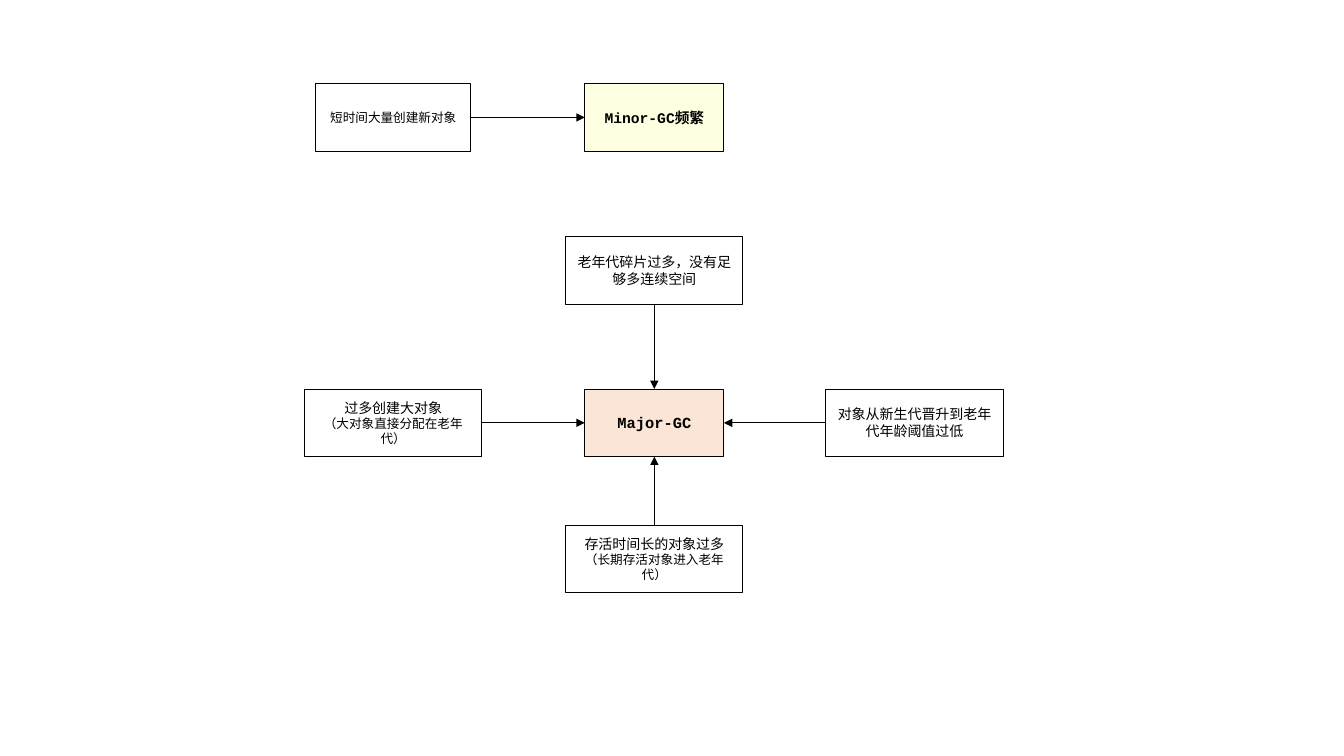
from dataclasses import dataclass
from typing import NamedTuple

from lxml import etree
from pptx import Presentation
from pptx import util as u
from pptx.dml import color
from pptx.enum import shapes, text
from pptx.oxml import ns


@dataclass(frozen=True)
class Theme:
    font: str = "Courier New"
    ink: str = "000000"
    white: str = "FFFFFF"
    cream: str = "FFFFE1"
    peach: str = "FBE5D6"
    minor: float = 10.5
    major: float = 11
    cause: float = 10
    note: float = 9
    edge: float = 0.75
    wire: float = 0.5


THEME = Theme()
HIGH = 0.67
GOAL_W, NEW_W, WIDE = 1.38, 1.54, 1.76
MID = 6.49  # centre line of both GC boxes
ROW_1, ROW_2 = 0.83, 3.86
TOP, LEFT, BOTTOM, RIGHT = range(4)  # connection sites of a rectangle


class Run(NamedTuple):
    words: str
    size: float
    bold: bool = False


@dataclass(frozen=True)
class Box:
    key: str
    left: float
    top: float
    width: float
    paras: list[list[Run]]
    fill: str = THEME.white


class Link(NamedTuple):
    start: str
    out: int
    end: str
    into: int


BOXES = [
    Box("minor", MID - GOAL_W / 2, ROW_1, GOAL_W,
        [[Run("Minor-GC频繁", THEME.minor, True)]], THEME.cream),
    Box("major", MID - GOAL_W / 2, ROW_2, GOAL_W,
        [[Run("Major-GC", THEME.major, True)]], THEME.peach),
    Box("new", 3.13, ROW_1, NEW_W,
        [[Run("短时间大量创建新对象", THEME.note)]]),
    Box("large", 3.02, ROW_2, WIDE,
        [[Run("过多创建大对象", THEME.cause)],
         [Run("（大对象直接分配在老年代）", THEME.note)]]),
    Box("old", MID - WIDE / 2, 5.21, WIDE,
        [[Run("存活时间长的对象过多", THEME.cause),
          Run("（长期存活对象进入老年代）", THEME.note)]]),
    Box("age", 8.19, ROW_2, WIDE,
        [[Run("对象从新生代晋升到老年代年龄阈值过低", THEME.cause)]]),
    Box("gaps", MID - WIDE / 2, 2.35, WIDE,
        [[Run("老年代碎片过多，没有足够多连续空间", THEME.cause)]]),
]

LINKS = [
    Link("new", RIGHT, "minor", LEFT),
    Link("large", RIGHT, "major", LEFT),
    Link("old", TOP, "major", BOTTOM),
    Link("age", LEFT, "major", RIGHT),
    Link("gaps", BOTTOM, "major", TOP),
]


def rgb(code: str) -> color.RGBColor:
    return color.RGBColor.from_string(code)


def draw_box(slide, box: Box):
    shape = slide.shapes.add_shape(
        shapes.MSO_SHAPE.RECTANGLE, u.Inches(box.left), u.Inches(box.top),
        u.Inches(box.width), u.Inches(HIGH))
    shape.shadow.inherit = False
    shape.fill.solid()
    shape.fill.fore_color.rgb = rgb(box.fill)
    shape.line.color.rgb = rgb(THEME.ink)
    shape.line.width = u.Pt(THEME.edge)
    frame = shape.text_frame
    frame.word_wrap = True
    frame.vertical_anchor = text.MSO_ANCHOR.MIDDLE
    for i, runs in enumerate(box.paras):
        para = frame.add_paragraph() if i else frame.paragraphs[0]
        para.alignment = text.PP_ALIGN.CENTER
        for item in runs:
            run = para.add_run()
            run.text = item.words
            run.font.name = THEME.font
            run.font.size = u.Pt(item.size)
            run.font.bold = item.bold
            run.font.color.rgb = rgb(THEME.ink)
    return shape


def draw_link(slide, link: Link, nodes: dict) -> None:
    """Glue an arrow to the connection sites of two boxes."""
    start, end = nodes[link.start], nodes[link.end]
    wire = slide.shapes.add_connector(
        shapes.MSO_CONNECTOR.STRAIGHT,
        start.left, start.top, end.left, end.top)
    wire.begin_connect(start, link.out)
    wire.end_connect(end, link.into)
    wire.line.color.rgb = rgb(THEME.ink)
    wire.line.width = u.Pt(THEME.wire)
    props = wire.element.spPr
    etree.SubElement(props.find(ns.qn("a:ln")), ns.qn("a:tailEnd"),
                     type="triangle")
    etree.SubElement(props, ns.qn("a:effectLst"))


def main() -> None:
    deck = Presentation()
    deck.slide_width, deck.slide_height = u.Inches(13.33), u.Inches(7.5)
    slide = deck.slides.add_slide(deck.slide_layouts[6])
    nodes = {box.key: draw_box(slide, box) for box in BOXES}
    for link in LINKS:
        draw_link(slide, link, nodes)
    deck.save("out.pptx")


if __name__ == "__main__":
    main()
